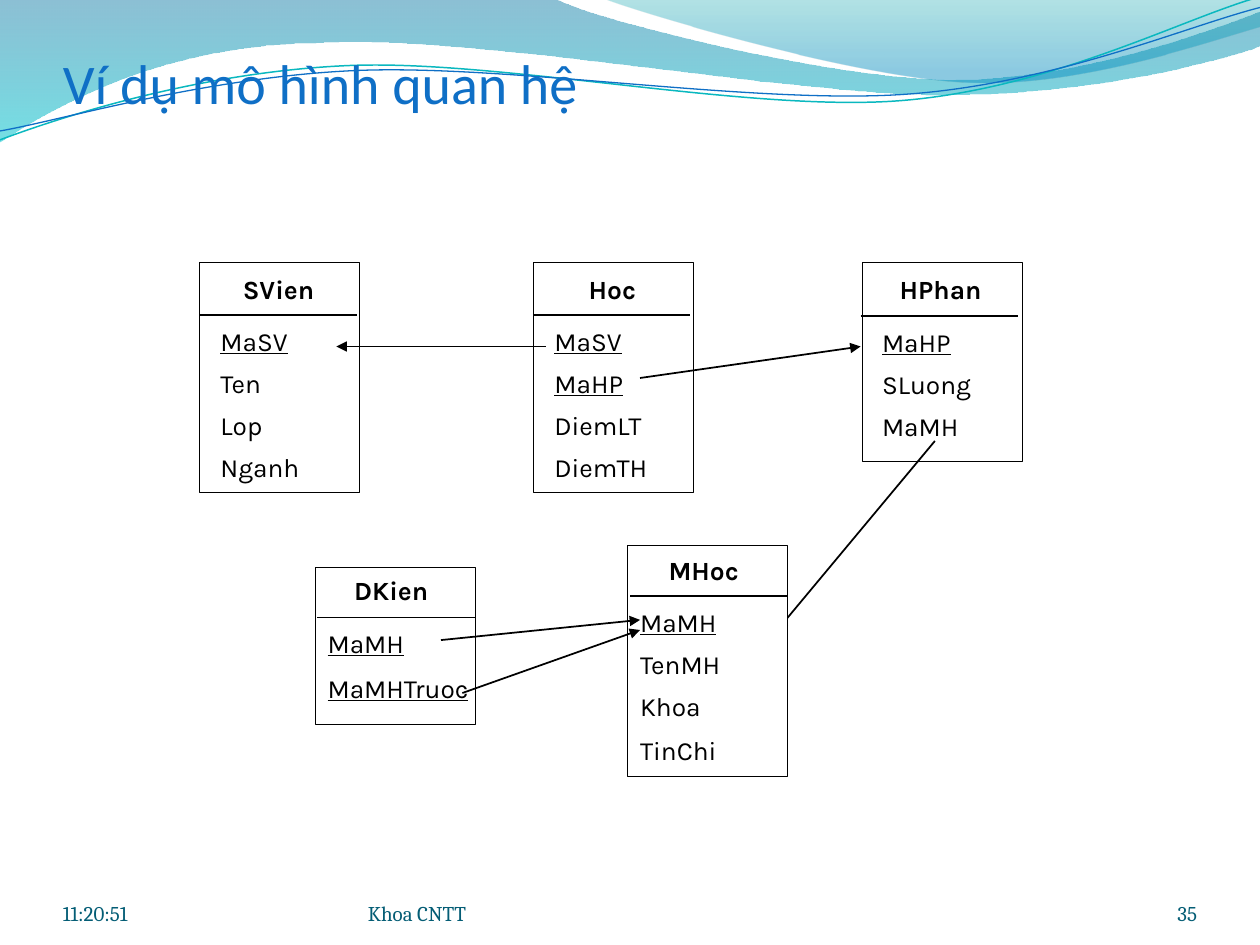
from math import cos, radians, sin
from typing import NamedTuple

from lxml.etree import SubElement
from pptx import Presentation
from pptx.dml.color import RGBColor
from pptx.enum.shapes import MSO_CONNECTOR, MSO_SHAPE
from pptx.enum.text import MSO_ANCHOR, PP_ALIGN
from pptx.oxml.ns import qn
from pptx.util import Inches, Pt

BLACK = RGBColor(0x00, 0x00, 0x00)
WHITE = RGBColor(0xFF, 0xFF, 0xFF)
BLUE = RGBColor(0x0F, 0x6F, 0xC6)
TEAL = RGBColor(0x0A, 0xB8, 0xBF)
FOOTER = RGBColor(0x04, 0x5D, 0x75)
WAVE_BLUE = RGBColor(0x00, 0x74, 0xA1)
WAVE_CYAN = RGBColor(0x00, 0xC6, 0xCF)
CREST_TEAL = RGBColor(0x00, 0xA1, 0xA9)
CREST_BLUE = RGBColor(0x00, 0x8B, 0xBF)

BOX_WIDTH = 1.27
RULE_WIDTH = 1.25
LINE_HEIGHT = 0.25
PITCH = 1 / 3
TILT = -2.7


class Layout(NamedTuple):
    head_x: float
    head_y: float
    head_w: float
    rule_x: float
    rule_y: float
    row_x: float
    row_y: float
    row_w: float
    last_drop: float


TALL = Layout(0.09, 0.09, 1.08, 0, 0.42, 0.17, 0.5, 0.83, 0)
SHORT = Layout(0.28, 0.09, 0.69, -0.01, 0.43, 0.16, 0.51, 0.75, 0)
MIDDLE = Layout(0.02, 0.07, 1.17, 0.02, 0.4, 0.1, 0.48, 0.75, 0.02)
LOWER = MIDDLE._replace(head_y=0.06, row_w=1.17)


def rotate(point, center, degrees):
    angle = radians(degrees)
    x, y = point[0] - center[0], point[1] - center[1]
    return (center[0] + x * cos(angle) - y * sin(angle),
            center[1] + x * sin(angle) + y * cos(angle))


class Diagram:
    font = "Karla"
    size = 15

    def __init__(self, slide):
        self.slide = slide

    def freeform(self, start, segments, close):
        builder = self.slide.shapes.build_freeform(*map(Inches, start))
        points = [tuple(map(Inches, point)) for seg in segments for point in seg]
        builder.add_line_segments(points, close=close)
        s = builder.convert_to_shape()
        s.shadow.inherit = False
        steps = iter(list(s._element.spPr.iter(qn("a:lnTo"))))
        for seg in segments:
            first, *others = [next(steps) for _ in seg]
            if others:
                first.tag = qn("a:cubicBezTo")
                for step in others:
                    first.append(step[0])
                    step.getparent().remove(step)
        return s

    def wave(self, start, segments, stops):
        s = self.freeform(start, segments, True)
        s.line.fill.background()
        s.fill.gradient()
        s.fill.gradient_angle = 270
        for stop, (position, color, _) in zip(s.fill.gradient_stops, stops):
            stop.position = position
            stop.color.rgb = color
        colors = s._element.spPr.iter(qn("a:srgbClr"))
        for clr, (_, _, opacity) in zip(colors, stops):
            SubElement(clr, qn("a:alpha")).set("val", str(opacity * 1000))

    def strand(self, start, segments, center, color, width):
        level = [[rotate(p, center, -TILT) for p in seg] for seg in segments]
        s = self.freeform(rotate(start, center, -TILT), level, False)
        s.rotation = TILT
        s.fill.background()
        s.line.color.rgb = color
        s.line.width = Pt(width)

    def text(self, text, x, y, w, h, size=size, font=font, color=BLACK,
             bold=False, underline=False, align=PP_ALIGN.LEFT,
             anchor=MSO_ANCHOR.TOP):
        s = self.slide.shapes.add_textbox(Inches(x), Inches(y), Inches(w), Inches(h))
        tf = s.text_frame
        tf.word_wrap = True
        tf.vertical_anchor = anchor
        tf.margin_left = tf.margin_right = tf.margin_top = tf.margin_bottom = 0
        p = tf.paragraphs[0]
        p.text = text
        p.alignment = align
        p.font.name = font
        p.font.size = Pt(size)
        p.font.color.rgb = color
        p.font.bold = bold
        p.font.underline = underline

    def footer(self, text, x, w, align=PP_ALIGN.LEFT):
        self.text(text, x, 6.95, w, 0.4, 12, "Cambria", FOOTER,
                  align=align, anchor=MSO_ANCHOR.BOTTOM)

    def line(self, x1, y1, x2, y2, arrow=False):
        s = self.slide.shapes.add_connector(
            MSO_CONNECTOR.STRAIGHT, Inches(x1), Inches(y1), Inches(x2), Inches(y2))
        s.line.color.rgb = BLACK
        s.line.width = Pt(1)
        if arrow:
            SubElement(s.line._get_or_add_ln(), qn("a:tailEnd")).set("type", "triangle")
        SubElement(s._element.spPr, qn("a:effectLst"))

    def relation(self, name, x, y, height, layout, keys, fields=()):
        s = self.slide.shapes.add_shape(
            MSO_SHAPE.RECTANGLE, Inches(x), Inches(y), Inches(BOX_WIDTH), Inches(height))
        s.shadow.inherit = False
        s.fill.solid()
        s.fill.fore_color.rgb = WHITE
        s.line.color.rgb = BLACK
        s.line.width = Pt(0.25)
        self.text(name, x + layout.head_x, y + layout.head_y, layout.head_w,
                  LINE_HEIGHT, bold=True, align=PP_ALIGN.CENTER)
        rule_x, rule_y = x + layout.rule_x, y + layout.rule_y
        self.line(rule_x, rule_y, rule_x + RULE_WIDTH, rule_y)
        rows = [*keys, *fields]
        for i, field in enumerate(rows):
            drop = layout.last_drop if i == len(rows) - 1 else 0
            self.text(field, x + layout.row_x, y + layout.row_y + i * PITCH + drop,
                      layout.row_w, LINE_HEIGHT, underline=i < len(keys))


def main():
    prs = Presentation()
    prs.slide_width, prs.slide_height = Inches(10), Inches(7.5)
    d = Diagram(prs.slides.add_slide(prs.slide_layouts[6]))

    d.wave((0, -0.01),
           [[(4.4, -0.01)],
            [(4.76, 0.17), (6.64, 0.63), (7.58, 0.63)],
            [(8.53, 0.63), (9.58, 0.26), (10, 0.09)],
            [(10.01, 0.36)],
            [(9.83, 0.44), (8.7, 0.76), (7.46, 0.75)],
            [(6.22, 0.75), (3.82, 0.28), (2.57, 0.34)],
            [(1.29, 0.35), (0.46, 0.83), (-0.01, 1.13)]],
           [(0, WAVE_BLUE, 45), (1, WAVE_CYAN, 55)])
    d.wave((4.79, -0.01),
           [[(5.09, 0.11), (6.82, 0.62), (7.69, 0.65)],
            [(8.56, 0.69), (9.61, 0.32), (10, 0.21)],
            [(10, 0)]],
           [(0, CREST_TEAL, 30), (0.8, CREST_BLUE, 45)])
    d.strand((0, 1.11),
             [[(0.48, 0.93), (1.58, 0.57), (2.77, 0.52)],
              [(3.95, 0.47), (5.93, 0.89), (7.13, 0.8)],
              [(8.33, 0.71), (9.38, 0.15), (9.98, -0.02)]],
             (4.99, 0.58), TEAL, 0.85)
    d.strand((0, 1.04),
             [[(0.47, 0.96), (1.64, 0.61), (2.83, 0.56)],
              [(4.03, 0.51), (5.97, 0.83), (7.17, 0.75)],
              [(8.36, 0.67), (9.41, 0.21), (10, 0.06)]],
             (5, 0.59), BLUE, 0.75)

    d.text("Ví dụ mô hình quan hệ", 0.5, 0.42, 9, 0.5, 32, "Calibri", BLUE,
           anchor=MSO_ANCHOR.BOTTOM)
    d.footer("35", 8.67, 0.83, PP_ALIGN.RIGHT)

    d.relation("SVien", 1.58, 2.08, 1.83, TALL, ["MaSV"], ["Ten", "Lop", "Nganh"])
    d.relation("Hoc", 4.23, 2.08, 1.83, TALL, ["MaSV", "MaHP"], ["DiemLT", "DiemTH"])
    d.line(4.33, 2.75, 2.67, 2.75, arrow=True)
    d.line(5.08, 3, 6.83, 2.75, arrow=True)
    d.relation("HPhan", 6.84, 2.08, 1.58, SHORT, ["MaHP"], ["SLuong", "MaMH"])
    d.line(7.42, 3.5, 6.17, 5, arrow=True)
    d.relation("MHoc", 4.98, 4.33, 1.83, MIDDLE, ["MaMH"], ["TenMH", "Khoa", "TinChi"])
    d.relation("DKien", 2.5, 4.5, 1.25, LOWER, ["MaMH", "MaMHTruoc"])
    d.line(3.5, 5.08, 5.08, 4.92, arrow=True)
    d.line(3.67, 5.5, 5.08, 5, arrow=True)

    d.footer("Khoa CNTT", 2.92, 3.67)
    d.footer("11:20:51", 0.5, 2.33)

    prs.save("out.pptx")


if __name__ == "__main__":
    main()
